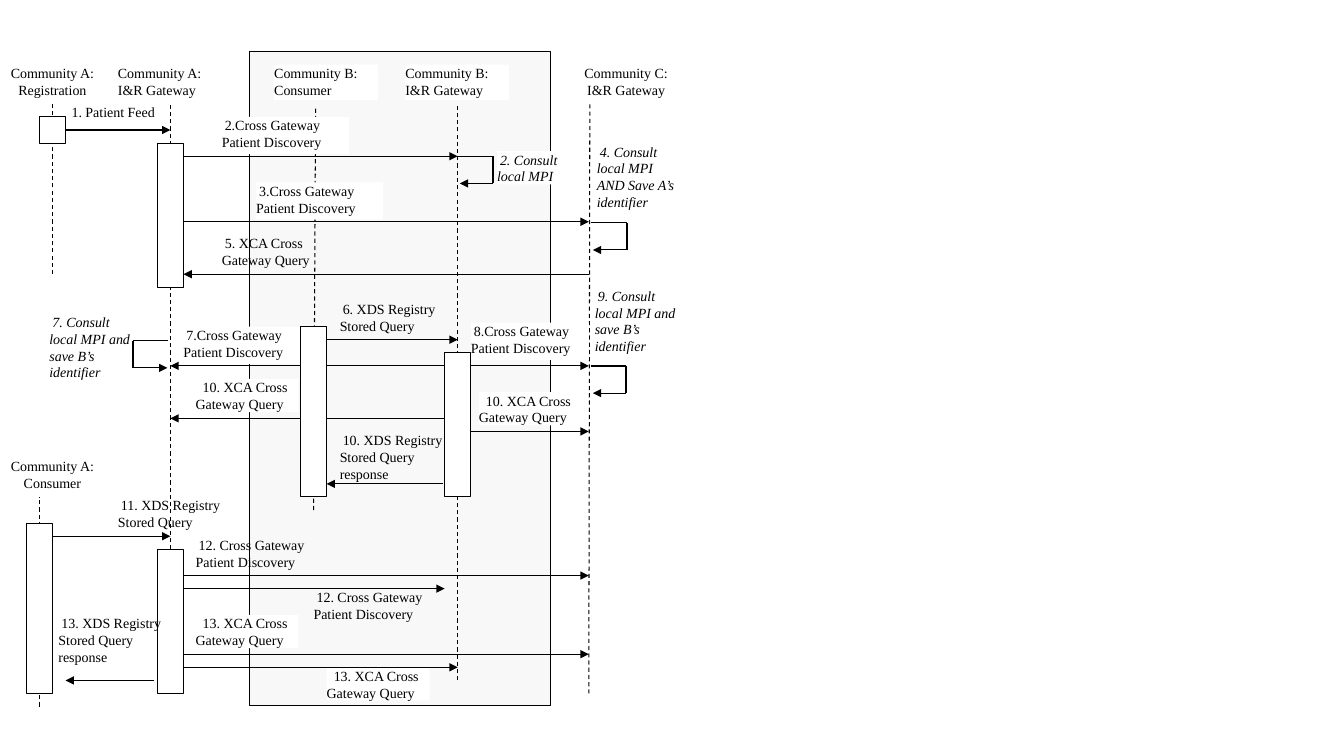
"""Draw the sequence diagram of patient discovery and queries among three communities."""
from dataclasses import dataclass

from lxml import etree
from pptx import Presentation
from pptx import util as u
from pptx.dml.color import RGBColor
from pptx.enum import dml, shapes, text
from pptx.oxml import ns

SCALE = 9144


@dataclass(frozen=True)
class Theme:
    ink: str = "000000"
    paper: str = "FFFFFF"
    shade: str = "C0C0C0"
    shade_alpha: int = 10
    font: str = "Times New Roman"
    size: float = 10
    thin: float = 0.75
    thick: float = 1


def px(length):
    return u.Emu(length * SCALE)


def write(para, words, font, size, color, italic=False, align=text.PP_ALIGN.LEFT, indent=0):
    para.alignment = align
    if indent:
        para._p.get_or_add_pPr().set("indent", str(px(indent)))
    span = para.add_run()
    span.text = words
    span.font.name = font
    span.font.size = u.Pt(size)
    span.font.italic = italic
    span.font.color.rgb = RGBColor.from_string(color)


class Diagram:
    def __init__(self, page, theme):
        self.page = page
        self.theme = theme

    def rect(self, left, top, width, height, fill=None, alpha=None):
        box = self.page.shapes.add_shape(
            shapes.MSO_SHAPE.RECTANGLE, px(left), px(top), px(width), px(height))
        box.shadow.inherit = False
        box.fill.solid()
        box.fill.fore_color.rgb = RGBColor.from_string(fill or self.theme.paper)
        box.line.color.rgb = RGBColor.from_string(self.theme.ink)
        box.line.width = u.Pt(self.theme.thin)
        if alpha is not None:
            color = box.fill._xPr.find(".//" + ns.qn("a:srgbClr"))
            etree.SubElement(color, ns.qn("a:alpha"), val=str(alpha * 1000))
        return box

    def label(self, left, top, width, height, words, filled=True, **style):
        box = self.page.shapes.add_textbox(px(left), px(top), px(width), px(height))
        if filled:
            box.fill.solid()
            box.fill.fore_color.rgb = RGBColor.from_string(self.theme.paper)
        frame = box.text_frame
        frame.word_wrap = True
        frame.margin_left = frame.margin_top = frame.margin_right = frame.margin_bottom = 0
        for index, line in enumerate(words.split("\n")):
            para = frame.add_paragraph() if index else frame.paragraphs[0]
            write(para, line, self.theme.font, self.theme.size, self.theme.ink, **style)

    def line(self, x1, y1, x2, y2, width=None, dashed=False, arrow=False):
        link = self.page.shapes.add_connector(
            shapes.MSO_CONNECTOR.STRAIGHT, px(x1), px(y1), px(x2), px(y2))
        link.line.color.rgb = RGBColor.from_string(self.theme.ink)
        link.line.width = u.Pt(width or self.theme.thin)
        if dashed:
            link.line.dash_style = dml.MSO_LINE.DASH
        if arrow:
            etree.SubElement(link.line._get_or_add_ln(), ns.qn("a:tailEnd"), type="triangle")
        etree.SubElement(link._element.spPr, ns.qn("a:effectLst"))
        return link

    def message(self, start, end, y):
        return self.line(start, y, end, y, arrow=True)

    def loop(self, near, far, tip, top, drop=27):
        self.line(near, top, far, top, width=self.theme.thick)
        self.line(far, top, far, top + drop, width=self.theme.thick)
        self.message(far, tip, top + drop)


LIFELINES = [
    (39, 701, 39, 493), (52, 272, 52, 103), (169, 581, 169, 103),
    (311, 506, 313, 106), (454, 675, 454, 103), (584, 688, 585, 103),
]
CENTERED_ACTORS = [
    (0, 64, 104, "Community A:\nRegistration"),
    (571, 64, 100, "Community C: I&R Gateway"),
    (0, 454, 104, "Community A:\nConsumer"),
]
ACTORS = [
    (117, 64, 104, "Community A: I&R Gateway"),
    (272, 64, 103, "Community B:\nConsumer"),
    (402, 64, 103, "Community B:\nI&R Gateway"),
]
FILLED_LABELS = [
    (68, 103, 91, 24, "1. Patient Feed", 3),
    (220, 116, 126, 37, "2.Cross Gateway Patient Discovery", 3),
    (254, 181, 126, 37, "3.Cross Gateway Patient Discovery", 3),
    (182, 324, 117, 37, "7.Cross Gateway Patient Discovery", 3),
    (467, 320, 117, 37, "8.Cross Gateway Patient Discovery", 3),
    (194, 376, 102, 33, "10. XCA Cross Gateway Query", 7),
    (475, 389, 102, 33, "10. XCA Cross Gateway Query", 7),
    (194, 610, 102, 33, "13. XCA Cross Gateway Query", 7),
    (324, 662, 102, 33, "13. XCA Cross Gateway Query", 7),
]
PLAIN_LABELS = [
    (220, 233, 115, 34, "5. XCA Cross Gateway Query"),
    (337, 298, 104, 34, "6. XDS Registry Stored Query"),
    (337, 428, 104, 52, "10. XDS Registry Stored Query response"),
    (117, 493, 104, 34, "11. XDS Registry Stored Query"),
    (194, 532, 115, 34, "12. Cross Gateway Patient Discovery"),
    (311, 584, 115, 34, "12. Cross Gateway Patient Discovery"),
    (58, 610, 104, 52, "13. XDS Registry Stored Query response"),
]
LOCAL_STEPS = [
    (493, 150, 33, "2. Consult local MPI"),
    (592, 142, 72, "4. Consult local MPI AND Save A’s identifier"),
    (49, 311, 72, "7. Consult local MPI and save B’s identifier"),
    (590, 285, 72, "9. Consult local MPI and save B’s identifier"),
]
MESSAGES = [
    (182, 454, 155), (182, 584, 220), (584, 182, 272), (324, 454, 337),
    (441, 169, 363), (454, 584, 363), (441, 169, 415), (467, 584, 428),
    (439, 324, 480), (52, 169, 532), (182, 584, 571), (182, 441, 584),
    (182, 584, 649), (182, 454, 662), (153, 65, 675),
]
BARS = [
    (156, 142, 143), (298, 324, 169), (441, 350, 143),
    (26, 519, 169), (156, 545, 143),
]
LOOPS = [
    (454, 489, 456, 155), (586, 622, 588, 221),
    (167, 132, 166, 338), (586, 621, 588, 363),
]


def main():
    theme = Theme()
    deck = Presentation()
    deck.slide_width, deck.slide_height = px(1333), px(750)
    diagram = Diagram(deck.slides.add_slide(deck.slide_layouts[6]), theme)

    diagram.rect(247, 51, 299, 649, fill=theme.shade, alpha=theme.shade_alpha)
    for lifeline in LIFELINES:
        diagram.line(*lifeline, dashed=True)
    for left, top, width, words in CENTERED_ACTORS:
        diagram.label(left, top, width, 35, words, align=text.PP_ALIGN.CENTER)
    for left, top, width, words in ACTORS:
        diagram.label(left, top, width, 35, words)
    for *place, words, indent in FILLED_LABELS:
        diagram.label(*place, words, indent=indent)
    for left, top, height, words in LOCAL_STEPS:
        diagram.label(left, top, 86, height, words, italic=True, indent=3)

    for message in MESSAGES:
        diagram.message(*message)
    registration = diagram.rect(39, 116, 26, 26)
    patient_feed = diagram.message(65, 169, 129)
    patient_feed.begin_connect(registration, 3)
    for left, top, height in BARS:
        diagram.rect(left, top, 26, height)
    for *place, words in PLAIN_LABELS:
        diagram.label(*place, words, filled=False, indent=3)
    for loop in LOOPS:
        diagram.loop(*loop)
    deck.save("out.pptx")


if __name__ == "__main__":
    main()
